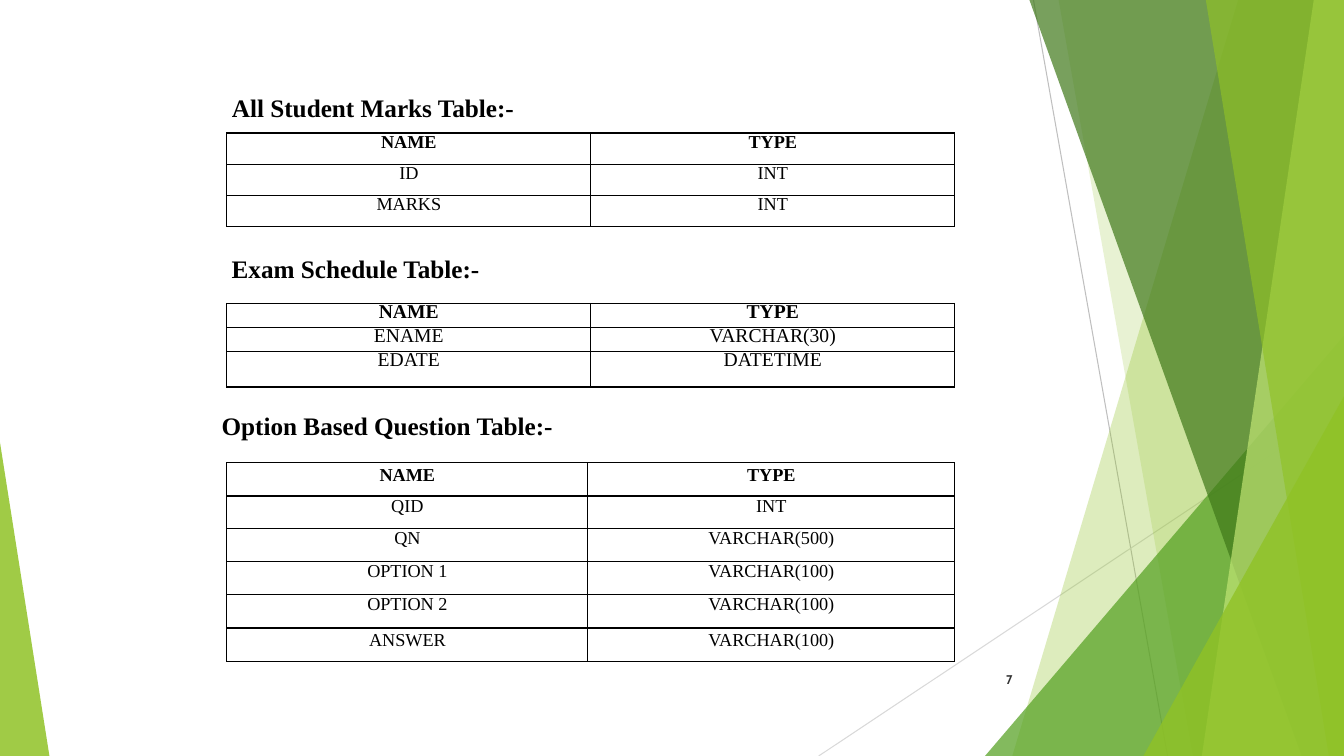
"""Build the slide that lists three database tables beside green facets."""
from dataclasses import dataclass

from lxml import etree
from pptx import Presentation
from pptx import util as u
from pptx.dml import color
from pptx.enum import shapes, text
from pptx.oxml import ns

WIDTH, HEIGHT = 13.33, 7.5
TABLE_LEFT = 2.25


@dataclass(frozen=True)
class Theme:
    serif: str = "Times New Roman"
    number_font: str = "Cabin"
    ink: str = "000000"
    number_ink: str = "333333"
    lime: str = "90C226"
    green: str = "54A021"
    forest: str = "3F7819"
    pale: str = "C0E474"
    heading_size: float = 18
    number_size: float = 9
    border: float = 1
    facet_line: float = 0.75


THEME = Theme()


@dataclass(frozen=True)
class Ray:
    start: tuple[float, float]
    end: tuple[float, float]
    colour: str


@dataclass(frozen=True)
class Facet:
    top_x: float
    bottom_x: float
    colour: str
    opacity: int


@dataclass(frozen=True)
class Wedge:
    left: float
    top: float
    width: float
    apex: float
    colour: str
    opacity: int


@dataclass(frozen=True)
class Schema:
    heading: str
    heading_at: tuple[float, float]
    top: float
    columns: tuple[float, float]
    heights: tuple[float, ...]
    spacing: tuple[float | None, ...]
    size: float
    fields: tuple[tuple[str, str], ...]


DECORATION = (
    Ray((10.25, 0), (11.58, HEIGHT), "BFBFBF"),
    Ray((WIDTH, 4.03), (8.12, HEIGHT), "D9D9D9"),
    Facet(12.28, 10.04, THEME.lime, 30),
    Facet(10.5, 11.83, THEME.lime, 20),
    Wedge(9.77, 3.33, 3.56, 1, THEME.green, 72),
    Facet(10.21, 12.91, THEME.forest, 70),
    Facet(13.03, 11.92, THEME.pale, 70),
    Facet(11.96, 13.18, THEME.lime, 65),
    Wedge(11.34, 3.93, 1.99, 1, THEME.lime, 80),
    Wedge(0, 4.39, 0.49, 0, THEME.lime, 85),
)

SCHEMAS = (
    Schema("All Student Marks Table:-", (2.2, 0.87), 1.32, (3.61, 3.61),
           (0.31,) * 3, (13.5, 13.4, 13.4), 13,
           (("ID", "INT"), ("MARKS", "INT"))),
    Schema("Exam Schedule Table:-", (2.2, 2.46), 3.01, (3.61, 3.61),
           (0.24, 0.24, 0.35), (13.5, 13.5, 13.4), 14,
           (("ENAME", "VARCHAR(30)"), ("EDATE", "DATETIME"))),
    Schema("Option Based Question Table:-", (2.1, 4.02), 4.59, (3.58, 3.64),
           (0.33, 0.32, 0.33, 0.33, 0.33, 0.33), (16, None, None, None, None, 15.9), 13,
           (("QID", "INT"), ("QN", "VARCHAR(500)"), ("OPTION 1", "VARCHAR(100)"),
            ("OPTION 2", "VARCHAR(100)"), ("ANSWER", "VARCHAR(100)"))),
)


def rgb(value: str) -> color.RGBColor:
    return color.RGBColor.from_string(value)


def style(para, size: float, bold: bool, name: str = THEME.serif, ink: str = THEME.ink) -> None:
    para.font.size = u.Pt(size)
    para.font.bold = bold
    para.font.name = name
    para.font.color.rgb = rgb(ink)


def paint(shape, colour: str, opacity: int) -> None:
    shape.shadow.inherit = False
    shape.line.fill.background()
    shape.fill.solid()
    shape.fill.fore_color.rgb = rgb(colour)
    solid = shape.fill._xPr.find(ns.qn("a:solidFill"))
    etree.SubElement(solid[0], ns.qn("a:alpha"), val=str(opacity * 1000))


def draw_ray(page, ray: Ray) -> None:
    line = page.shapes.add_connector(
        shapes.MSO_CONNECTOR.STRAIGHT, *map(u.Inches, ray.start + ray.end))
    line.line.color.rgb = rgb(ray.colour)
    line.line.width = u.Pt(THEME.facet_line)
    etree.SubElement(line._element.spPr, ns.qn("a:effectLst"))


def draw_facet(page, facet: Facet) -> None:
    builder = page.shapes.build_freeform(u.Inches(facet.top_x), 0)
    corners = ((WIDTH, 0), (WIDTH, HEIGHT), (facet.bottom_x, HEIGHT))
    builder.add_line_segments([(u.Inches(x), u.Inches(y)) for x, y in corners])
    paint(builder.convert_to_shape(), facet.colour, facet.opacity)


def draw_wedge(page, wedge: Wedge) -> None:
    bounds = (wedge.left, wedge.top, wedge.width, HEIGHT - wedge.top)
    shape = page.shapes.add_shape(
        shapes.MSO_SHAPE.ISOSCELES_TRIANGLE, *map(u.Inches, bounds))
    shape.adjustments[0] = wedge.apex
    paint(shape, wedge.colour, wedge.opacity)


def write_heading(box, schema: Schema) -> None:
    box.left, box.top = map(u.Inches, schema.heading_at)
    box.width, box.height = u.Inches(6.67), u.Inches(0.4)
    frame = box.text_frame
    frame.text = schema.heading
    frame.word_wrap = True
    frame.auto_size = text.MSO_AUTO_SIZE.NONE
    frame.vertical_anchor = text.MSO_ANCHOR.TOP
    para = frame.paragraphs[0]
    para.alignment = text.PP_ALIGN.LEFT
    style(para, THEME.heading_size, True)


def outline(cell) -> None:
    properties = cell._tc.get_or_add_tcPr()
    for side in ("lnL", "lnR", "lnT", "lnB"):
        edge = etree.SubElement(properties, ns.qn(f"a:{side}"), w=str(u.Pt(THEME.border)))
        solid = etree.SubElement(edge, ns.qn("a:solidFill"))
        etree.SubElement(solid, ns.qn("a:srgbClr"), val=THEME.ink)


def draw_table(page, schema: Schema) -> None:
    rows = (("NAME", "TYPE"), *schema.fields)
    bounds = (TABLE_LEFT, schema.top, sum(schema.columns), sum(schema.heights))
    table = page.shapes.add_table(len(rows), 2, *map(u.Inches, bounds)).table
    table.first_row = table.horz_banding = False
    for column, width in zip(table.columns, schema.columns):
        column.width = u.Inches(width)
    for index, values in enumerate(rows):
        table.rows[index].height = u.Inches(schema.heights[index])
        for cell, value in zip(table.rows[index].cells, values):
            cell.text = value
            cell.margin_left = cell.margin_right = cell.margin_top = cell.margin_bottom = 0
            outline(cell)
            cell.fill.background()
            para = cell.text_frame.paragraphs[0]
            para.alignment = text.PP_ALIGN.CENTER
            spacing = schema.spacing[index]
            para.line_spacing = u.Pt(spacing) if spacing else None
            style(para, schema.size, index == 0)


def draw_number(page) -> None:
    box = page.shapes.add_textbox(*map(u.Inches, (9.39, 6.54, 0.75, 0.4)))
    frame = box.text_frame
    frame.text = "7"
    frame.word_wrap = True
    frame.vertical_anchor = text.MSO_ANCHOR.MIDDLE
    frame.paragraphs[0].alignment = text.PP_ALIGN.RIGHT
    style(frame.paragraphs[0], THEME.number_size, True, THEME.number_font, THEME.number_ink)


def main() -> None:
    deck = Presentation()
    deck.slide_width, deck.slide_height = u.Inches(WIDTH), u.Inches(HEIGHT)
    page = deck.slides.add_slide(deck.slide_layouts[5])
    painters = {Ray: draw_ray, Facet: draw_facet, Wedge: draw_wedge}
    for item in DECORATION:
        painters[type(item)](page, item)
    for index, schema in enumerate(SCHEMAS):
        box = page.shapes.add_textbox(0, 0, 0, 0) if index else page.shapes.title
        write_heading(box, schema)
        draw_table(page, schema)
    draw_number(page)
    deck.save("out.pptx")


if __name__ == "__main__":
    main()
